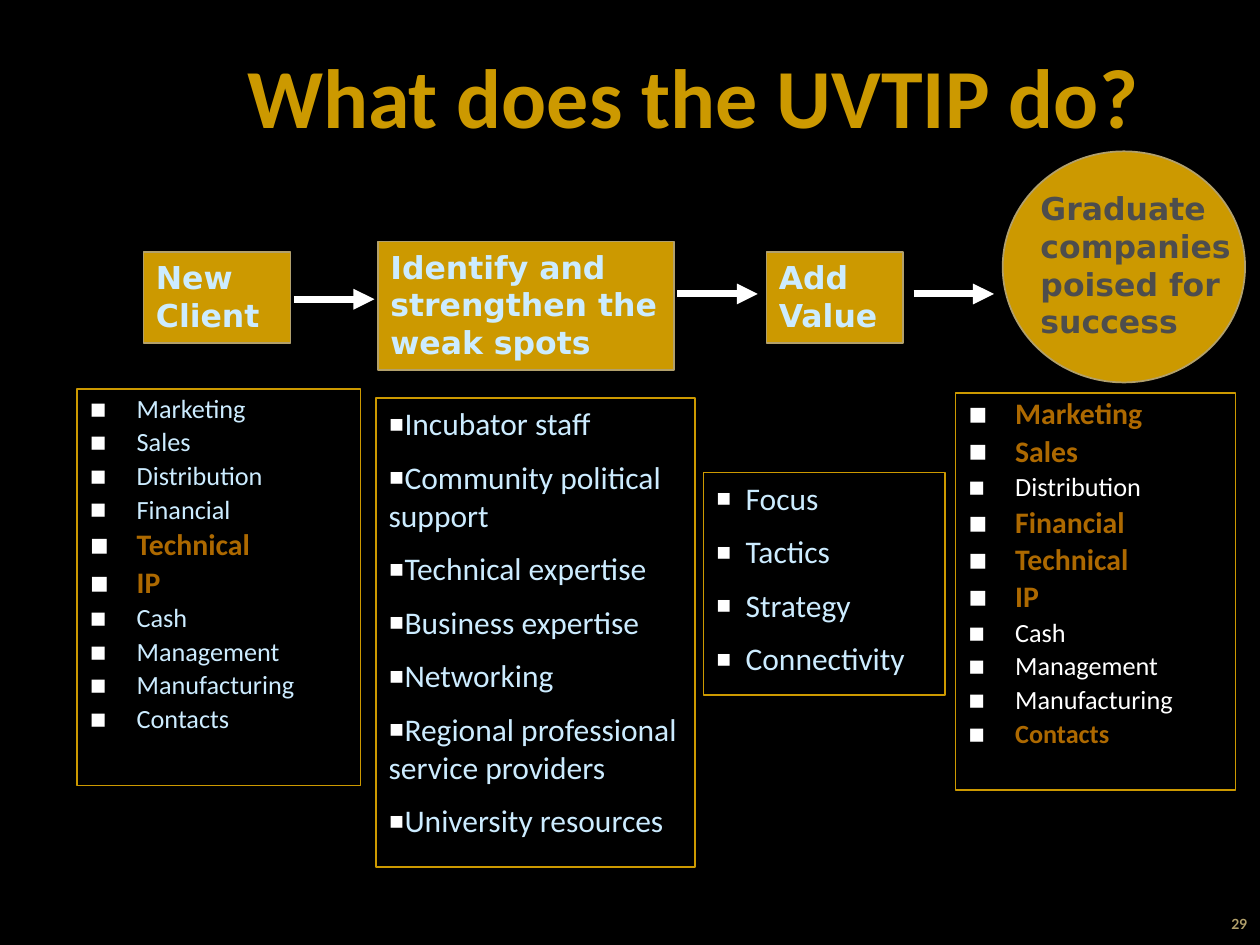
"""Build the incubator process slide: four stages, arrows and detail lists."""
from lxml import etree
from pptx import Presentation
from pptx import util as u
from pptx.dml.color import RGBColor
from pptx.enum import shapes, text
from pptx.oxml.ns import qn

COLORS = {"black": "000000", "gold": "CC9900", "sand": "B2A06B", "ice": "CCECFF",
          "white": "FFFFFF", "rust": "AD6900", "gray": "4D4D4D", "olive": "666600"}
TITLE = ("What does the UVTIP do?", (84, 12, 624, 85))
PAGE = ("29", (570, 516, 150, 24))
STAGES = [("New Client", (82, 144, 84, 52)),
          ("Identify and strengthen the weak spots", (216, 138, 169, 73.5)),
          ("Add Value", (438, 144, 78, 52))]
GOAL = ("Graduate companies poised for success", (573, 86.5, 138.5, 132), (587.5, 104.5, 132.5, 94))
ARROWS = [(168, 171), (387, 168), (522, 168)]
ARROW_LENGTH = 46
NEEDS = ["Marketing", "Sales", "Distribution", "Financial", "Technical",
         "IP", "Cash", "Management", "Manufacturing", "Contacts"]
NEED_LISTS = [
    {"box": (44, 222.5, 162, 226.5), "color": "ice", "large": {"Technical", "IP"}, "bold": set()},
    {"box": (546, 224.5, 160, 227), "color": "white",
     "large": {"Marketing", "Sales", "Financial", "Technical", "IP"}, "bold": {"Contacts"}}]
HELP_LISTS = [
    {"box": (215, 227.5, 182, 268), "indent": 0,
     "items": ["Incubator staff", "Community political support", "Technical expertise",
               "Business expertise", "Networking", "Regional professional service providers",
               "University resources"]},
    {"box": (402, 270, 138, 127), "indent": 17,
     "items": ["Focus", "Tactics", "Strategy", "Connectivity"]}]


def rgb(name):
    return RGBColor.from_string(COLORS[name])


def points(values):
    return [u.Pt(value) for value in values]


def add_box(parent, box, fill=None, line=None, kind=shapes.MSO_SHAPE.RECTANGLE):
    shape = parent.add_shape(kind, *points(box))
    shape.shadow.inherit = False
    if fill:
        shape.fill.solid()
        shape.fill.fore_color.rgb = rgb(fill)
    else:
        shape.fill.background()
    shape.line.color.rgb = rgb(line)
    shape.line.width = u.Pt(1)
    return shape


def write(shape, items, size, color, name="Calibri", bold=False,
          align=text.PP_ALIGN.LEFT, anchor=text.MSO_ANCHOR.TOP):
    frame = shape.text_frame
    frame.word_wrap = True
    frame.vertical_anchor = anchor
    frame.text = "\n".join(items)
    for paragraph in frame.paragraphs:
        paragraph.alignment = align
        style(paragraph, size, color, bold, name)
    return frame.paragraphs


def style(paragraph, size, color, bold, name="Calibri"):
    font = paragraph.font
    font.size, font.bold, font.name = u.Pt(size), bold, name
    font.color.rgb = rgb(color)


def add_bullet(paragraph, indent, before, scale=100):
    paragraph.space_before = u.Pt(before)
    properties = paragraph._p.get_or_add_pPr()
    properties.set("marL", str(u.Pt(indent)))
    properties.set("indent", str(-u.Pt(indent)))
    color = etree.Element(qn("a:buClr"))
    etree.SubElement(color, qn("a:srgbClr"), val=COLORS["white"])
    percent = etree.Element(qn("a:buSzPct"), val=str(scale * 1000))
    face = etree.Element(qn("a:buFont"), typeface="DejaVu Sans")
    mark = etree.Element(qn("a:buChar"), char="▪")
    defaults = properties.find(qn("a:defRPr"))
    for element in (color, percent, face, mark):
        defaults.addprevious(element)


def add_text_shadow(run, color):
    run.font.color.rgb = rgb(color)
    effects = etree.Element(qn("a:effectLst"))
    shadow = etree.SubElement(effects, qn("a:outerShdw"), dist="25400", dir="2700000")
    etree.SubElement(shadow, qn("a:srgbClr"), val=COLORS["olive"])
    run._r.rPr.find(qn("a:solidFill")).addnext(effects)


def add_arrow(slide, left, top):
    arrow = slide.shapes.add_connector(
        shapes.MSO_CONNECTOR.STRAIGHT, *points((left, top, left + ARROW_LENGTH, top)))
    arrow.line.color.rgb = rgb("white")
    arrow.line.width = u.Pt(4)
    etree.SubElement(arrow.line._get_or_add_ln(), qn("a:tailEnd"), type="triangle")
    etree.SubElement(arrow._element.spPr, qn("a:effectLst"))


def main():
    presentation = Presentation()
    presentation.slide_width, presentation.slide_height = points((720, 540))
    slide = presentation.slides.add_slide(presentation.slide_layouts[6])
    slide.background.fill.solid()
    slide.background.fill.fore_color.rgb = rgb("black")

    title = slide.shapes.add_textbox(*points(TITLE[1]))
    heading = write(title, [TITLE[0]], 48, "gold", bold=True,
                    align=text.PP_ALIGN.CENTER, anchor=text.MSO_ANCHOR.MIDDLE)[0]
    add_text_shadow(heading.runs[0], "gold")
    page = slide.shapes.add_textbox(*points(PAGE[1]))
    write(page, [PAGE[0]], 8, "sand", "Lato", True,
          text.PP_ALIGN.RIGHT, text.MSO_ANCHOR.MIDDLE)

    for label, box in STAGES:
        write(add_box(slide.shapes, box, "gold", "sand"), [label], 18, "ice", "DejaVu Sans", True)
    goal = slide.shapes.add_group_shape()
    add_box(goal.shapes, GOAL[1], "gold", "sand", shapes.MSO_SHAPE.OVAL)
    label = goal.shapes.add_textbox(*points(GOAL[2]))
    write(label, [GOAL[0]], 18, "gray", "DejaVu Sans", True)
    for left, top in ARROWS:
        add_arrow(slide, left, top)

    for needs in NEED_LISTS:
        box = add_box(slide.shapes, needs["box"], line="gold")
        for need, paragraph in zip(NEEDS, write(box, NEEDS, 15, needs["color"])):
            if need in needs["large"] | needs["bold"]:
                style(paragraph, 17 if need in needs["large"] else 15, "rust", True)
            paragraph.line_spacing = 0.9
            add_bullet(paragraph, 27, 3)
    for helps in HELP_LISTS:
        box = add_box(slide.shapes, helps["box"], line="gold")
        for paragraph in write(box, helps["items"], 18, "ice"):
            add_bullet(paragraph, helps["indent"], 9, 75)
    presentation.save("out.pptx")


if __name__ == "__main__":
    main()
